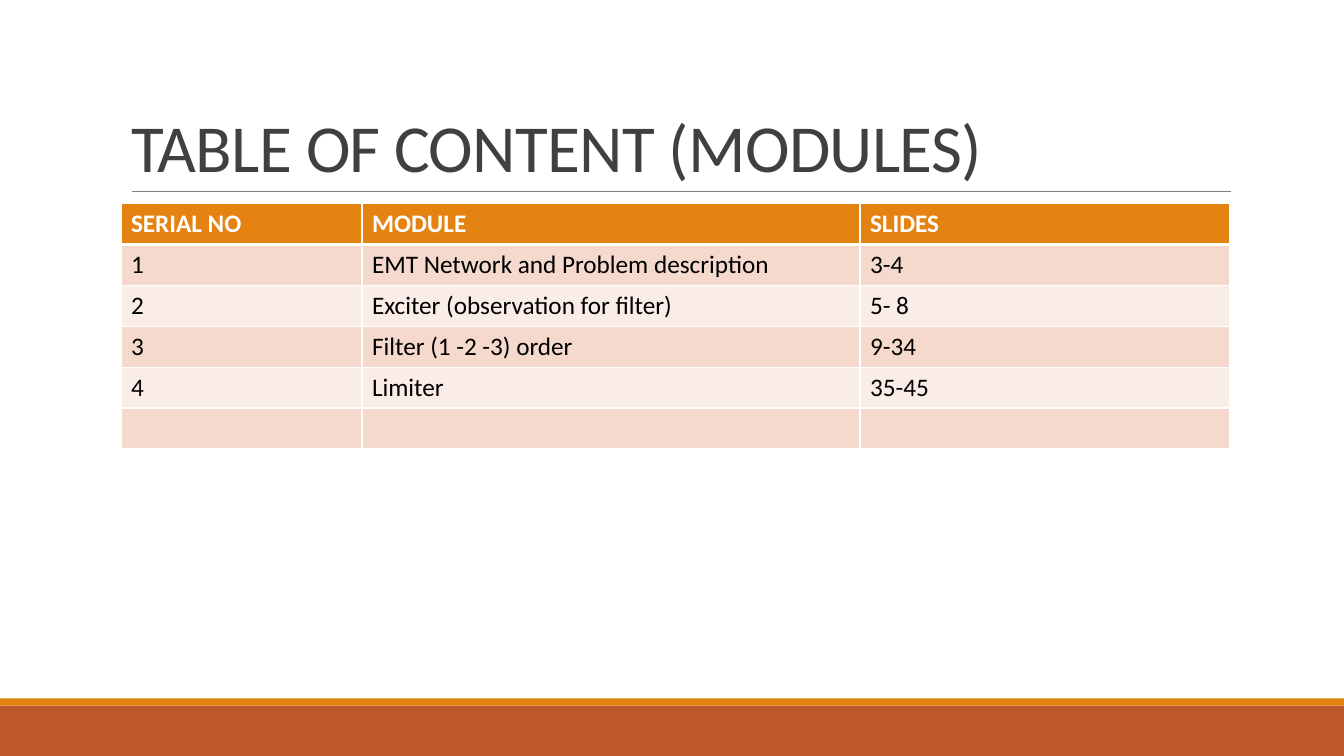
"""Build the table-of-content slide listing the modules and their slide ranges."""
import pptx
import pptx.dml.color
import pptx.enum.shapes
import pptx.enum.text
import pptx.oxml
import pptx.oxml.ns
import pptx.util
from lxml import etree

HEADING = "TABLE OF CONTENT (MODULES)"
MODULES = [
    ("SERIAL NO", "MODULE", "SLIDES"),
    ("1", "EMT Network and Problem description", "3-4"),
    ("2", "Exciter (observation for filter)", "5- 8"),
    ("3", "Filter (1 -2 -3) order", "9-34"),
    ("4", "Limiter", "35-45"),
    ("", "", ""),
]
COLOURS = {
    "orange": "E48312", "rust": "BD582C", "rule": "808080", "heading": "404040",
    "white": "FFFFFF", "black": "000000", "odd": "F5D9CC", "even": "FAEDE7",
}
WIDTH, HEIGHT = 13.33, 7.5
LEFT, CONTENT_WIDTH = 1.2, 11
COLUMN_WIDTHS = (2.39, 4.94, 3.67)
TABLE_TOP, ROW_HEIGHT = 2.02, 0.405
BANDS = [("rust", 7, 0.5), ("orange", 6.93, 0.07)]
HEADING_FORMAT = {"name": "Calibri", "size": pptx.util.Pt(48), "bold": False}
HEADER_FORMAT = {"name": "Calibri", "size": pptx.util.Pt(18), "bold": True}
MODULE_FORMAT = {**HEADER_FORMAT, "bold": False}


def inches(*lengths):
    return [pptx.util.Inches(length) for length in lengths]


def rgb(name):
    return pptx.dml.color.RGBColor.from_string(COLOURS[name])


def format_font(font, values, colour):
    for key, value in values.items():
        setattr(font, key, value)
    font.color.rgb = rgb(colour)


def add_borders(cell, widths):
    properties = cell._tc.get_or_add_tcPr()
    for side, points in widths.items():
        properties.append(pptx.oxml.parse_xml(
            f'<a:ln{side} {pptx.oxml.ns.nsdecls("a")} w="{pptx.util.Pt(points)}">'
            f'<a:solidFill><a:srgbClr val="{COLOURS["white"]}"/></a:solidFill>'
            f'</a:ln{side}>'))


def add_bands(slide):
    for colour, top, height in BANDS:
        band = slide.shapes.add_shape(
            pptx.enum.shapes.MSO_SHAPE.RECTANGLE, *inches(0, top, WIDTH, height))
        band.shadow.inherit = False
        band.fill.solid()
        band.fill.fore_color.rgb = rgb(colour)
        band.line.fill.background()


def add_rule(slide):
    rule = slide.shapes.add_connector(
        pptx.enum.shapes.MSO_CONNECTOR.STRAIGHT, *inches(1.31, 1.9, 12.21, 1.9))
    rule.line.color.rgb = rgb("rule")
    rule.line.width = pptx.util.Pt(0.5)
    etree.SubElement(rule._element.spPr, pptx.oxml.ns.qn("a:effectLst"))


def add_heading(slide):
    heading = slide.shapes.title
    heading.left, heading.top, heading.width, heading.height = inches(
        LEFT, 0.31, CONTENT_WIDTH, 1.59)
    frame = heading.text_frame
    frame.text = HEADING
    frame.word_wrap = True
    frame.auto_size = pptx.enum.text.MSO_AUTO_SIZE.NONE
    frame.vertical_anchor = pptx.enum.text.MSO_ANCHOR.BOTTOM
    line = frame.paragraphs[0]
    line.alignment = pptx.enum.text.PP_ALIGN.LEFT
    line.line_spacing = 0.85
    format_font(line.runs[0].font, HEADING_FORMAT, "heading")
    line.runs[0]._r.get_or_add_rPr().set("spc", "-50")


def add_modules(slide):
    table = slide.shapes.add_table(
        len(MODULES), len(COLUMN_WIDTHS),
        *inches(LEFT, TABLE_TOP, CONTENT_WIDTH, ROW_HEIGHT * len(MODULES))).table
    for column, width in zip(table.columns, COLUMN_WIDTHS):
        column.width = pptx.util.Inches(width)
    for number, module in enumerate(MODULES):
        header = number == 0
        fill = "orange" if header else "odd" if number % 2 else "even"
        borders = {"L": 1, "R": 1, "T": 3 if number == 1 else 1, "B": 3 if header else 1}
        for position, entry in enumerate(module):
            cell = table.cell(number, position)
            add_borders(cell, borders)
            cell.fill.solid()
            cell.fill.fore_color.rgb = rgb(fill)
            if entry:
                cell.text = entry
                format_font(cell.text_frame.paragraphs[0].runs[0].font,
                            HEADER_FORMAT if header else MODULE_FORMAT,
                            "white" if header else "black")


def main():
    deck = pptx.Presentation()
    deck.slide_width, deck.slide_height = inches(WIDTH, HEIGHT)
    slide = deck.slides.add_slide(deck.slide_layouts.get_by_name("Title Only"))
    add_bands(slide)
    add_rule(slide)
    add_heading(slide)
    add_modules(slide)
    deck.save("out.pptx")


if __name__ == "__main__":
    main()
